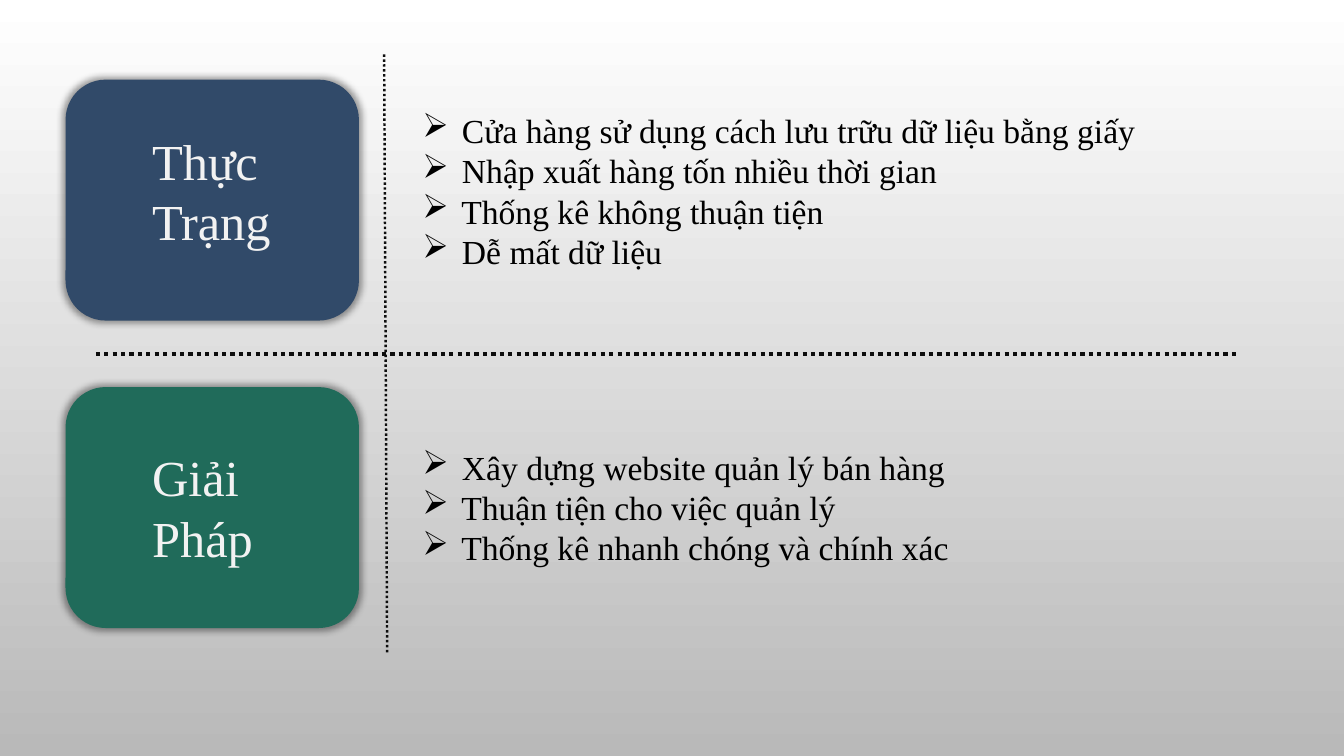
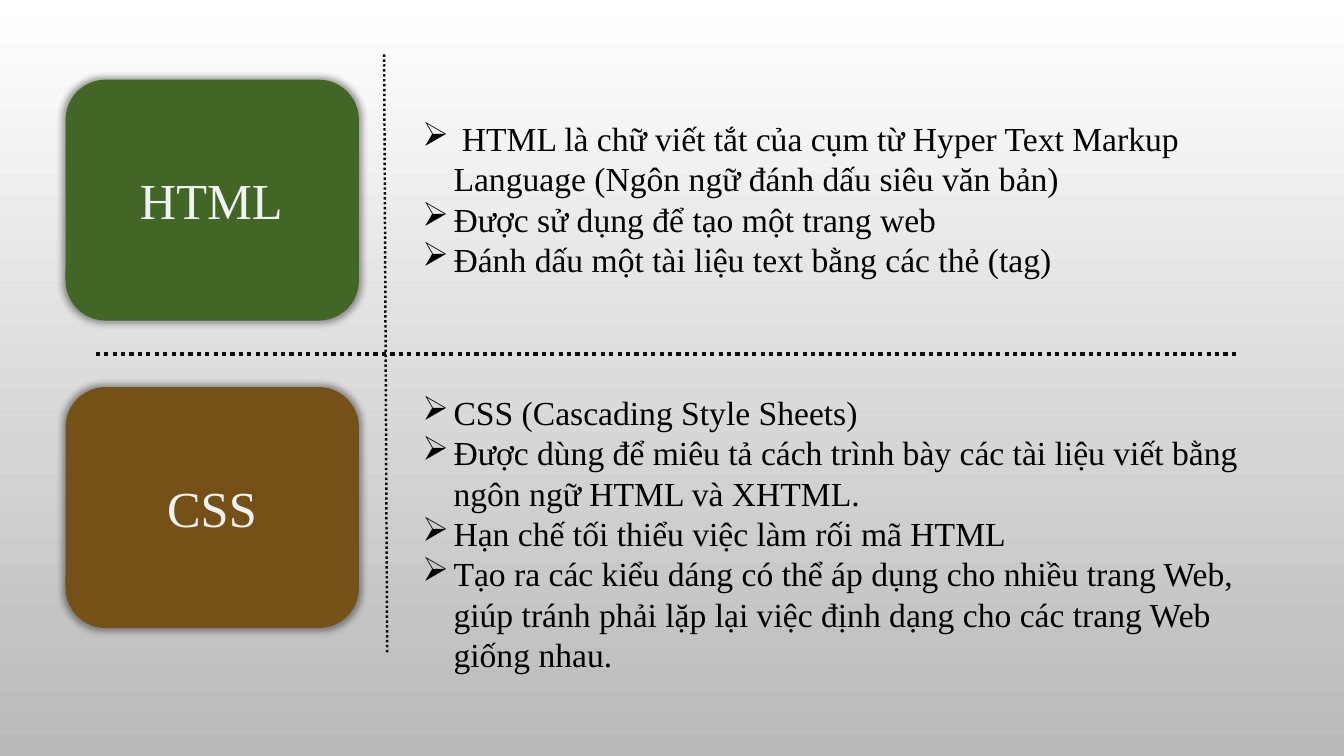
from dataclasses import dataclass

from lxml.etree import SubElement
from pptx import Presentation
from pptx.dml.color import RGBColor
from pptx.enum.dml import MSO_LINE
from pptx.enum.shapes import MSO_CONNECTOR, MSO_SHAPE
from pptx.enum.text import MSO_AUTO_SIZE
from pptx.oxml import parse_xml
from pptx.oxml.ns import nsdecls, qn
from pptx.util import Inches, Pt


@dataclass(frozen=True)
class Theme:
    font: str = "Times New Roman"
    label_size: int = 36
    body_size: int = 24
    label: str = "F2F2F2"
    body: str = "000000"
    rule: str = "0D0D0D"
    shadow: str = "000000"
    back_top: str = "FFFFFF"
    back_bottom: str = "B9B9B9"
    navy: str = "314A69"
    teal: str = "206B5A"
    green: str = "426626"
    brown: str = "755017"


class Deck:
    """Draws two-row comparison slides in one shared style."""

    def __init__(self, theme):
        self.theme = theme
        self.prs = Presentation()
        self.prs.slide_width = Inches(13.33)
        self.prs.slide_height = Inches(7.5)
        self.slide = None

    def add_slide(self):
        t = self.theme
        self.slide = self.prs.slides.add_slide(self.prs.slide_layouts[6])
        fill = self.slide.background.fill
        fill.gradient()
        fill.gradient_angle = 270
        for stop, color in zip(fill.gradient_stops, (t.back_top, t.back_bottom)):
            stop.color.rgb = RGBColor.from_string(color)
        self.rule(0.95, 3.51, 12.28, 3.51, 3)
        self.rule(3.81, 0.54, 3.84, 6.48, 1.75)

    def rule(self, x1, y1, x2, y2, weight):
        ends = [Inches(v) for v in (x1, y1, x2, y2)]
        line = self.slide.shapes.add_connector(MSO_CONNECTOR.STRAIGHT, *ends)
        line.line.color.rgb = RGBColor.from_string(self.theme.rule)
        line.line.width = Pt(weight)
        line.line.dash_style = MSO_LINE.ROUND_DOT
        SubElement(line._element.spPr, qn("a:effectLst"))

    def card(self, top, color):
        sp = self.slide.shapes.add_shape(
            MSO_SHAPE.ROUNDED_RECTANGLE,
            Inches(0.65), Inches(top), Inches(2.91), Inches(2.39))
        sp.fill.solid()
        sp.fill.fore_color.rgb = RGBColor.from_string(color)
        sp.line.fill.background()
        sp._element.spPr.append(parse_xml(
            f'<a:effectLst {nsdecls("a")}>'
            f'<a:outerShdw blurRad="{Pt(5)}" sx="102000" sy="102000" '
            'algn="ctr" rotWithShape="0">'
            f'<a:srgbClr val="{self.theme.shadow}"><a:alpha val="40000"/></a:srgbClr>'
            '</a:outerShdw></a:effectLst>'))

    def text(self, box, lines, size, color, wrap):
        sp = self.slide.shapes.add_textbox(*[Inches(v) for v in box])
        tf = sp.text_frame
        tf.text = "\n".join(lines)
        tf.word_wrap = wrap
        tf.auto_size = MSO_AUTO_SIZE.SHAPE_TO_FIT_TEXT
        for p in tf.paragraphs:
            for r in p.runs:
                r.font.name = self.theme.font
                r.font.size = Pt(size)
                r.font.color.rgb = RGBColor.from_string(color)
        return tf

    def label(self, box, lines):
        self.text(box, lines, self.theme.label_size, self.theme.label, False)

    def bullets(self, top, height, lines):
        tf = self.text((4.09, top, 8.65, height), lines,
                       self.theme.body_size, self.theme.body, True)
        for p in tf.paragraphs:
            pPr = p._p.get_or_add_pPr()
            pPr.set("marL", str(Inches(0.31)))
            pPr.set("indent", str(-Inches(0.31)))
            SubElement(pPr, qn("a:buChar")).set("char", "➢")


def main():
    theme = Theme()
    deck = Deck(theme)
    slides = [
        [
            (theme.navy, (1.41, 1.24, 1.39, 1.31), ["Thực", "Trạng"], 1.04, 1.72, [
                " Cửa hàng sử dụng cách lưu trữu dữ liệu bằng giấy",
                " Nhập xuất hàng tốn nhiều thời gian",
                " Thống kê không thuận tiện",
                " Dễ mất dữ liệu",
            ]),
            (theme.teal, (1.41, 4.38, 1.21, 1.31), ["Giải", "Pháp"], 4.38, 1.31, [
                " Xây dựng website quản lý bán hàng",
                " Thuận tiện cho việc quản lý",
                " Thống kê nhanh chóng và chính xác",
            ]),
        ],
        [
            (theme.green, (1.29, 1.63, 1.63, 0.71), ["HTML"], 1.12, 1.72, [
                " HTML là chữ viết tắt của cụm từ Hyper Text Markup Language "
                "(Ngôn ngữ đánh dấu siêu văn bản)",
                "Được sử dụng để tạo một trang web",
                "Đánh dấu một tài liệu text bằng các thẻ (tag)",
            ]),
            (theme.brown, (1.56, 4.68, 1.1, 0.71), ["CSS"], 3.84, 2.93, [
                "CSS (Cascading Style Sheets)",
                "Được dùng để miêu tả cách trình bày các tài liệu viết bằng "
                "ngôn ngữ HTML và XHTML.",
                "Hạn chế tối thiểu việc làm rối mã HTML",
                "Tạo ra các kiểu dáng có thể áp dụng cho nhiều trang Web, giúp "
                "tránh phải lặp lại việc định dạng cho các trang Web giống nhau.",
            ]),
        ],
    ]
    for rows in slides:
        deck.add_slide()
        for card_top, row in zip((0.79, 3.84), rows):
            color, label_box, label, top, height, lines = row
            deck.card(card_top, color)
            deck.label(label_box, label)
            deck.bullets(top, height, lines)
    deck.prs.save("out.pptx")


if __name__ == "__main__":
    main()
